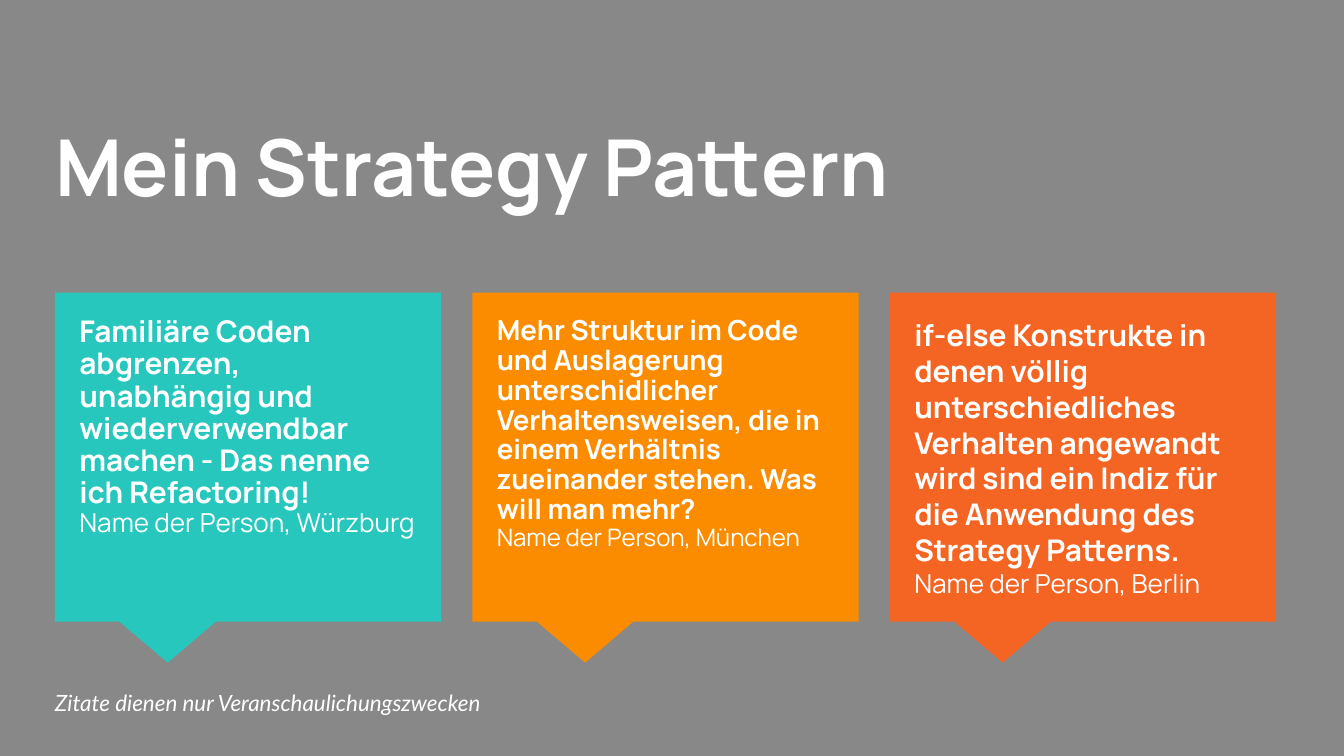
"""Build the slide with three quotes about the strategy pattern."""
from pptx import Presentation
from pptx.dml.color import RGBColor
from pptx.enum.shapes import MSO_SHAPE
from pptx.enum.text import MSO_ANCHOR, MSO_AUTO_SIZE, PP_ALIGN
from pptx.util import Cm, Pt

CALLOUT = MSO_SHAPE.RECTANGULAR_CALLOUT
TOP, MIDDLE = MSO_ANCHOR.TOP, MSO_ANCHOR.MIDDLE
FIXED, LEFT = MSO_AUTO_SIZE.NONE, PP_ALIGN.LEFT
GREY = RGBColor(0x88, 0x88, 0x88)
WHITE = RGBColor(0xFF, 0xFF, 0xFF)
TEAL = RGBColor(0x27, 0xC7, 0xBD)
AMBER = RGBColor(0xFB, 0x8C, 0x00)
CORAL = RGBColor(0xF4, 0x65, 0x24)


def write(box, text, size, name="", small=0, font="Manrope", bold=True,
          italic=False, space=1.0, anchor=TOP):
    frame = box.text_frame
    frame.word_wrap = True
    frame.auto_size = FIXED
    frame.vertical_anchor = anchor
    frame.margin_left = frame.margin_right = Cm(0.25)
    frame.margin_top = frame.margin_bottom = Cm(0.25)
    para = frame.paragraphs[0]
    para.alignment = LEFT
    para.line_spacing = space
    parts = [(text, size, bold)]
    if name:
        parts.append((name, small, False))
    for i, (words, points, heavy) in enumerate(parts):
        if i:
            para.add_line_break()
        run = para.add_run()
        run.text = words
        run.font.name = font
        run.font.size = Pt(points)
        run.font.bold = heavy
        run.font.italic = italic
        run.font.color.rgb = WHITE


deck = Presentation()
deck.slide_width, deck.slide_height = Cm(25.4), Cm(14.29)
slide = deck.slides.add_slide(deck.slide_layouts[5])
slide.background.fill.solid()
slide.background.fill.fore_color.rgb = GREY
shapes = slide.shapes

title = shapes.title
title.left, title.top = Cm(0.79), Cm(1.98)
title.width, title.height = Cm(23.95), Cm(2.82)
write(title, "Mein Strategy Pattern", 42)

quotes = [
    (TEAL, "Familiäre Coden abgrenzen, unabhängig und wiederverwendbar "
     "machen - Das nenne ich Refactoring!",
     "Name der Person, Würzburg", 16, 14, 0.9, 5.56),
    (AMBER, "Mehr Struktur im Code und Auslagerung unterschidlicher "
     "Verhaltensweisen, die in einem Verhältnis zueinander stehen. "
     "Was will man mehr?",
     "Name der Person, München", 14.8, 12.9, 0.9, 5.56),
    (CORAL, "if-else Konstrukte in denen völlig unterschiedliches "
     "Verhalten angewandt wird sind ein Indiz für die Anwendung des "
     "Strategy Patterns.",
     "Name der Person, Berlin", 16, 14, 1.0, 6.73),
]
for i, (color, quote, name, size, small, space, high) in enumerate(quotes):
    x = 1.04 + i * 7.89
    bubble = shapes.add_shape(CALLOUT, Cm(x), Cm(5.53), Cm(7.3), Cm(6.22))
    bubble.adjustments[0] = -0.208
    bubble.adjustments[1] = 0.625
    bubble.shadow.inherit = False
    bubble.fill.solid()
    bubble.fill.fore_color.rgb = color
    bubble.line.fill.background()
    box = shapes.add_textbox(Cm(x + 0.21), Cm(5.74), Cm(6.88), Cm(high))
    write(box, quote, size, name, small, space=space)

note = shapes.add_textbox(Cm(0.79), Cm(12.93), Cm(17.35), Cm(0.71))
write(note, "Zitate dienen nur Veranschaulichungszwecken", 12, font="Lato",
      bold=False, italic=True, anchor=MIDDLE)

deck.save("out.pptx")
